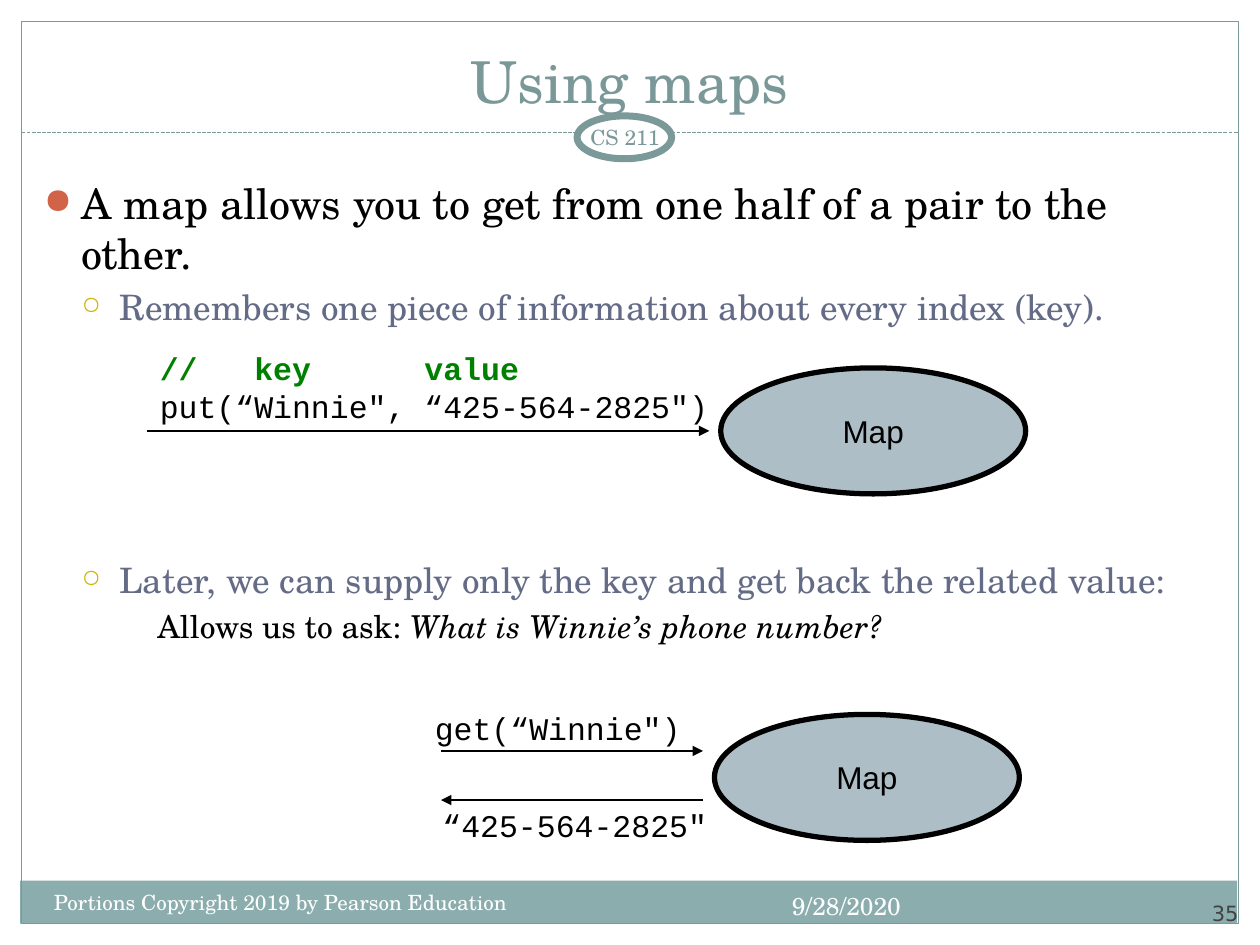
from lxml.etree import SubElement
from pptx import Presentation
from pptx.dml.color import RGBColor
from pptx.enum.dml import MSO_LINE
from pptx.enum.shapes import MSO_CONNECTOR, MSO_SHAPE
from pptx.enum.text import MSO_ANCHOR, PP_ALIGN
from pptx.oxml.ns import qn
from pptx.util import Inches, Pt

SERIF, SANS, MONO = "TeX Gyre Schola", "Arial", "Courier New"
BLACK = RGBColor(0x00, 0x00, 0x00)
WHITE = RGBColor(0xFF, 0xFF, 0xFF)
TEAL = RGBColor(0x7C, 0x99, 0x9A)
HEAD = RGBColor(0x7B, 0x98, 0x99)
BAND = RGBColor(0x8C, 0xAD, 0xAE)
MIST = RGBColor(0xAD, 0xBE, 0xC6)
SLATE = RGBColor(0x64, 0x6B, 0x86)
RUST = RGBColor(0xD1, 0x63, 0x49)
GOLD = RGBColor(0xCC, 0xB4, 0x00)
GREEN = RGBColor(0x00, 0x80, 0x00)
GREY = RGBColor(0x42, 0x42, 0x42)
LEFT, MID, RIGHT = PP_ALIGN.LEFT, PP_ALIGN.CENTER, PP_ALIGN.RIGHT


def add_run(para, text, size, color, font=SERIF, bold=False, italic=False):
    run = para.add_run()
    run.text = text
    run.font.size, run.font.name = Pt(size), font
    run.font.bold, run.font.italic = bold, italic
    run.font.color.rgb = color


def add_box(slide, area, align=LEFT, anchor=MSO_ANCHOR.TOP, wrap=True, inset=None):
    """Add an empty text box and return its frame."""
    frame = slide.shapes.add_textbox(*map(Inches, area)).text_frame
    frame.word_wrap, frame.vertical_anchor = wrap, anchor
    if inset is not None:
        frame.margin_left = frame.margin_right = Inches(inset)
        frame.margin_top = frame.margin_bottom = Inches(inset)
    frame.paragraphs[0].alignment = align
    return frame


def add_label(slide, area, text, size, color, font=SERIF, **style):
    frame = add_box(slide, area, **style)
    add_run(frame.paragraphs[0], text, size, color, font)


def add_form(slide, kind, area, fill=None, line=None, width=0.75):
    form = slide.shapes.add_shape(kind, *map(Inches, area))
    form.shadow.inherit = False
    if fill is None:
        form.fill.background()
    else:
        form.fill.solid()
        form.fill.fore_color.rgb = fill
    if line is None:
        form.line.fill.background()
    else:
        form.line.color.rgb = line
        form.line.width = Pt(width)
    return form


def add_line(slide, start, end, y, color):
    line = slide.shapes.add_connector(
        MSO_CONNECTOR.STRAIGHT, Inches(start), Inches(y), Inches(end), Inches(y))
    line.line.color.rgb = color
    line.line.width = Pt(0.75)
    SubElement(line._element.spPr, qn("a:effectLst"))
    return line


def add_arrow(slide, start, end, y):
    line = add_line(slide, start, end, y, BLACK)
    SubElement(line.line._get_or_add_ln(), qn("a:tailEnd"), type="triangle")


def add_map(slide, left, top):
    form = add_form(slide, MSO_SHAPE.OVAL, (left, top, 2.42, 1), MIST, BLACK, 3)
    frame = form.text_frame
    frame.word_wrap, frame.vertical_anchor = False, MSO_ANCHOR.MIDDLE
    frame.paragraphs[0].alignment = MID
    add_run(frame.paragraphs[0], "Map", 18, BLACK, SANS)


def set_bullet(para, mark, color, scale, indent):
    props = para._p.get_or_add_pPr()
    props.set("marL", str(Inches(indent)))
    props.set("indent", str(Inches(-0.3)))
    tint = SubElement(props, qn("a:buClr"))
    SubElement(tint, qn("a:srgbClr"), val=str(color))
    SubElement(props, qn("a:buSzPct"), val=str(scale * 1000))
    SubElement(props, qn("a:buChar"), char=mark)


def add_frame(slide):
    add_form(slide, MSO_SHAPE.RECTANGLE, (0.16, 6.99, 9.66, 0.34), BAND)
    add_form(slide, MSO_SHAPE.RECTANGLE, (0.17, 0.17, 9.66, 7.16), line=TEAL)
    rule = add_line(slide, 0.17, 9.83, 1.05, TEAL)
    rule.line.dash_style = MSO_LINE.SQUARE_DOT
    add_form(slide, MSO_SHAPE.OVAL, (4.58, 0.92, 0.75, 0.34), WHITE, TEAL, 4)
    add_label(slide, (9, 6.95, 0.83, 0.4), "35", 12, GREY, "DejaVu Sans",
              align=RIGHT, anchor=MSO_ANCHOR.BOTTOM, inset=0)
    add_label(slide, (5.59, 7.02, 1.66, 0.4), "9/28/2020", 14, WHITE, align=RIGHT)
    add_label(slide, (0.33, 7.01, 4.08, 0.4),
              "Portions Copyright 2019 by Pearson Education", 12, WHITE)
    add_label(slide, (4.5, 0.92, 0.92, 0.33), "CS 211", 12, TEAL,
              align=MID, anchor=MSO_ANCHOR.MIDDLE, inset=0.05)


def add_body(slide):
    frame = add_box(slide, (0.25, 1.36, 9.5, 5.55))
    para = frame.paragraphs[0]
    set_bullet(para, "●", RUST, 85, 0.3)
    add_run(para, "A map allows you to get from one half of a pair to the other.", 24, BLACK)
    points = [
        ("Remembers one piece of information about every index (key).", 4),
        ("Later, we can supply only the key and get back the related value:", 132),
    ]
    for text, gap in points:
        para = frame.add_paragraph()
        set_bullet(para, "○", GOLD, 70, 0.6)
        para.space_before = Pt(gap)
        add_run(para, text, 20, SLATE)
    para = frame.add_paragraph()
    para._p.get_or_add_pPr().set("marL", str(Inches(0.9)))
    para.space_before = Pt(4)
    add_run(para, "Allows us to ask: ", 18, BLACK)
    add_run(para, "What is Winnie’s phone number?", 18, BLACK, italic=True)


def add_put(slide):
    add_map(slide, 5.72, 2.92)
    add_arrow(slide, 1.17, 5.63, 3.42)
    frame = add_box(slide, (1.17, 2.72, 4.57, 0.71), wrap=False)
    add_run(frame.paragraphs[0], "//   key      value", 18, GREEN, MONO, bold=True)
    add_run(frame.add_paragraph(), "put(“Winnie\", “425-564-2825\")", 18, BLACK, MONO)


def add_get(slide):
    add_map(slide, 5.67, 5.67)
    add_arrow(slide, 3.5, 5.58, 5.96)
    add_arrow(slide, 5.58, 3.5, 6.35)
    add_label(slide, (3.34, 5.58, 2.16, 0.4), "get(“Winnie\")", 18, BLACK, MONO,
              align=RIGHT, wrap=False)
    add_label(slide, (3.4, 6.35, 2.31, 0.4), "“425-564-2825\"", 18, BLACK, MONO,
              align=RIGHT, wrap=False)


def main():
    deck = Presentation()
    deck.slide_width, deck.slide_height = Inches(10), Inches(7.5)
    slide = deck.slides.add_slide(deck.slide_layouts[6])
    add_frame(slide)
    add_label(slide, (0.33, 0.25, 9.33, 0.71), "Using maps", 33, HEAD,
              align=MID, anchor=MSO_ANCHOR.BOTTOM)
    add_body(slide)
    add_put(slide)
    add_get(slide)
    deck.save("out.pptx")


if __name__ == "__main__":
    main()
